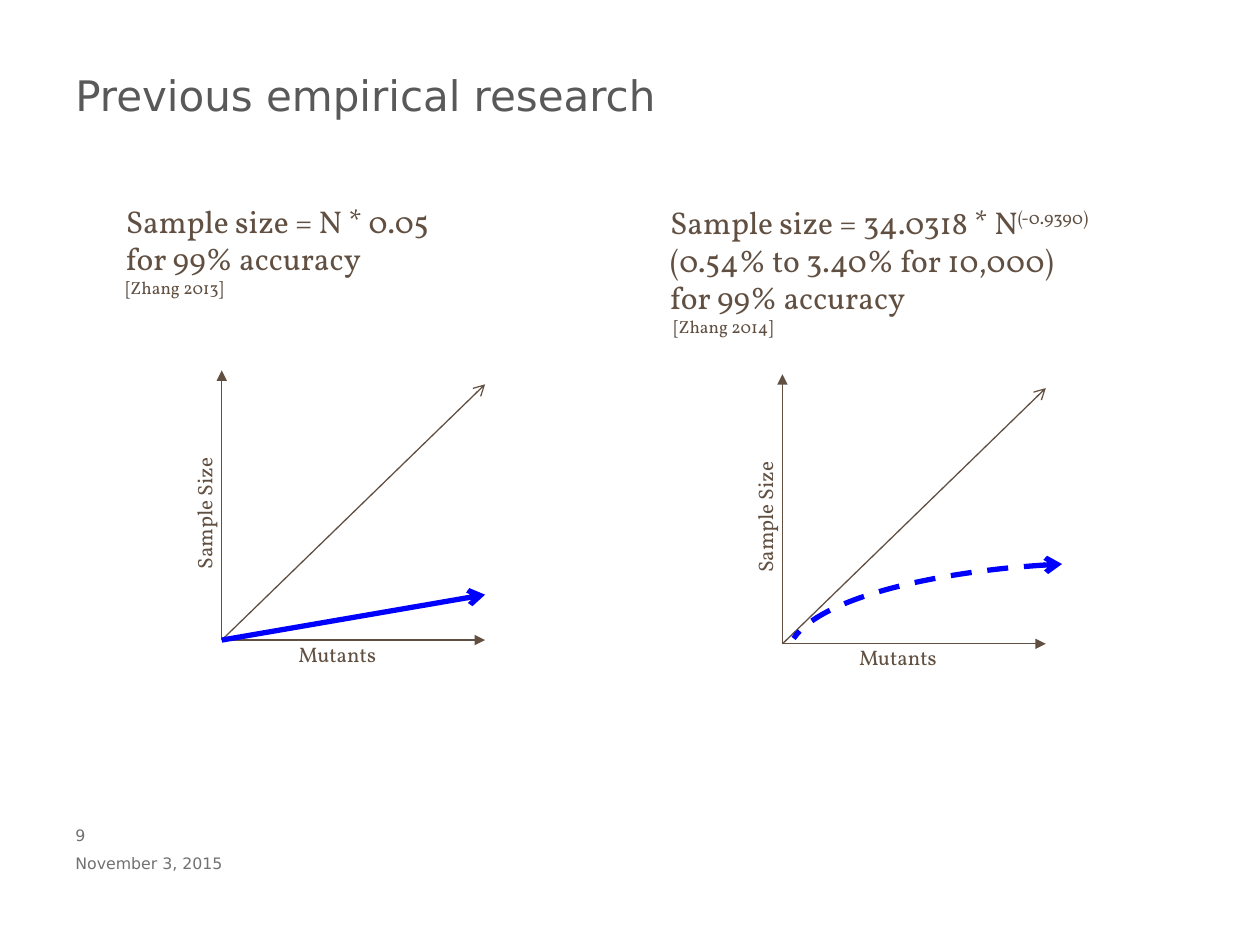
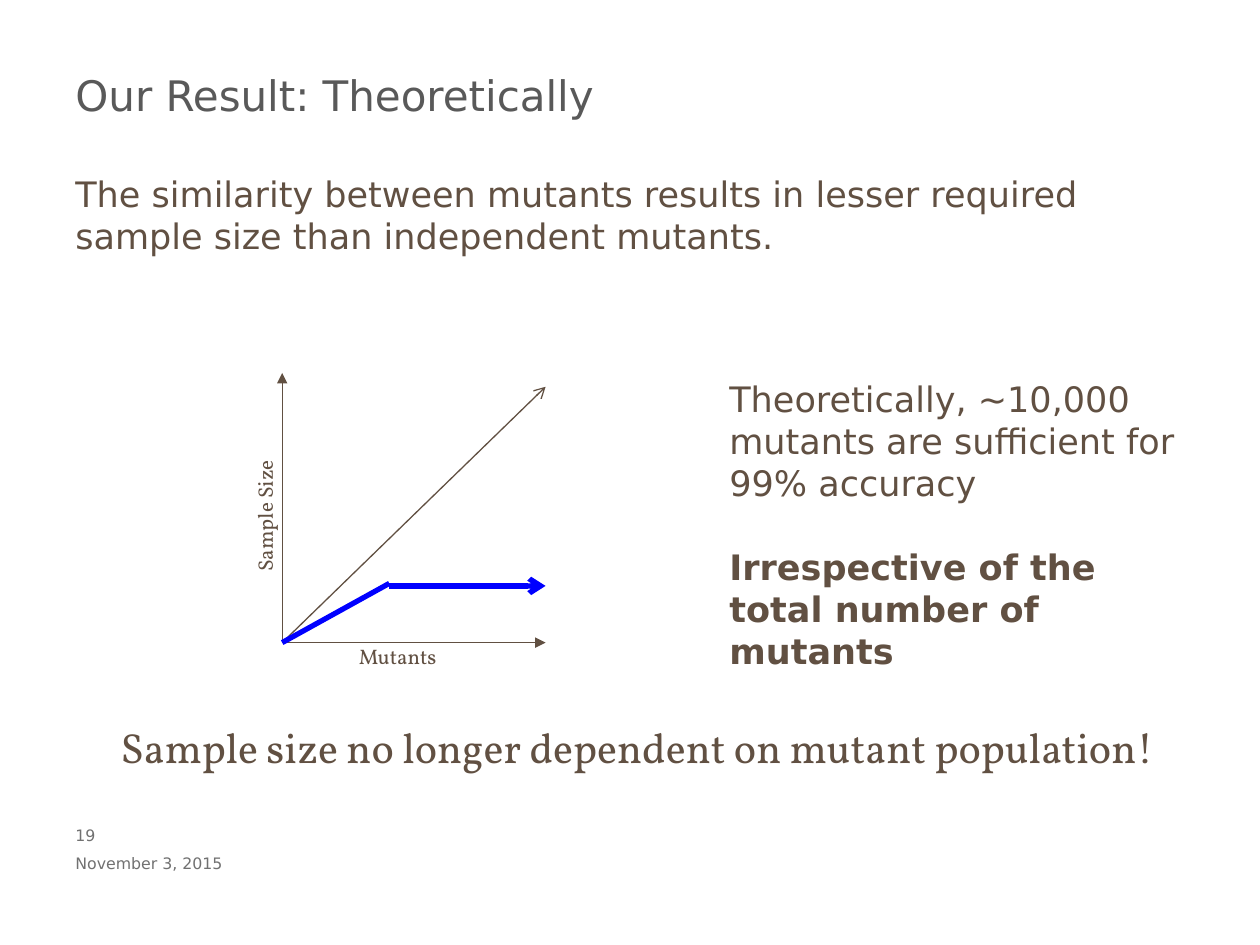
from lxml import etree
from pptx import Presentation
from pptx import util as u
from pptx.dml.color import RGBColor
from pptx.enum import dml, shapes, text
from pptx.oxml.ns import qn

COLS, ROWS = 100, 75
SANS, SERIF = "DejaVu Sans", "Vollkorn"
INK, TITLE, FOOTER, RESULT = "615042", "595959", "717171", "0000FF"
DATE = "November 3, 2015"


def rgb(hex_color):
    return RGBColor.from_string(hex_color)


class Deck:
    """Holds the shared style and the slide being drawn; lengths are grid columns and rows."""

    def __init__(self):
        self.prs = Presentation()
        self.prs.slide_width, self.prs.slide_height = u.Inches(10), u.Inches(7.5)
        self.s = None

    def x(self, cols):
        return round(self.prs.slide_width * cols / COLS)

    def y(self, rows):
        return round(self.prs.slide_height * rows / ROWS)

    def box(self, left, top, width, height):
        return self.x(left), self.y(top), self.x(width), self.y(height)

    def new_slide(self, title, number):
        self.s = self.prs.slides.add_slide(self.prs.slide_layouts[6])
        self.text((5, 5, 90, 7.5), [title], 24, SANS, TITLE)
        date = self.text((5, 67.5, 20, 2), [DATE], 9, SANS, FOOTER)
        page = self.text((5, 65.5, 4, 2), [str(number)], 9, SANS, FOOTER)
        for tf in (date, page):
            tf.margin_top = tf.margin_bottom = 0
        date.vertical_anchor = text.MSO_ANCHOR.MIDDLE
        page.margin_right = 0

    def text(self, area, lines, size, font=SERIF, color=INK, rotation=0):
        sp = self.s.shapes.add_textbox(*self.box(*area))
        sp.rotation = rotation
        tf = sp.text_frame
        tf.word_wrap = True
        for i, line in enumerate(lines):
            p = tf.add_paragraph() if i else tf.paragraphs[0]
            p.add_run().text = line
            p.font.size, p.font.name = u.Pt(size), font
            p.font.color.rgb = rgb(color)
        return tf

    def formula(self, area, lines, source, power=None, indent=0):
        """Formula lines with an optional exponent on the first and a small source below."""
        tf = self.text(area, lines + [source], 18)
        cite = tf.paragraphs[-1]
        cite.font.size = u.Pt(10)
        cite._p.get_or_add_pPr().set("marL", str(self.x(indent)))
        if power:
            r = tf.paragraphs[0].add_run()
            r.text = power
            r._r.get_or_add_rPr().set("baseline", "30000")

    def stroke(self, line, color, weight, dash=None, **ends):
        line.color.rgb, line.width = rgb(color), u.Pt(weight)
        if dash:
            line.dash_style = dash
        for end, kind in ends.items():
            if kind:
                etree.SubElement(line._get_or_add_ln(), qn(f"a:{end}End"), type=kind)

    def line(self, start, end, color=INK, weight=0.75, tail=None):
        cx = self.s.shapes.add_connector(
            shapes.MSO_CONNECTOR.STRAIGHT,
            self.x(start[0]), self.y(start[1]), self.x(end[0]), self.y(end[1]))
        self.stroke(cx.line, color, weight, tail=tail)
        etree.SubElement(cx._element.spPr, qn("a:effectLst"))

    def plot(self, x, y, *result):
        """Axes from the origin (x, y), the diagonal, and result lines given from the origin."""
        self.line((x, y), (x, y - 21.4), tail="triangle")
        self.line((x, y), (x + 20.9, y), tail="triangle")
        self.text((x + 5.1, y - 0.4, 15.8, 3), ["Mutants"], 12)
        self.line((x, y), (x + 20.9, y - 20.3), tail="arrow")
        self.text((x - 9.3, y - 14.05, 15.8, 3), ["Sample Size"], 12, rotation=270)
        for (x1, y1), (x2, y2), tail in result:
            self.line((x + x1, y - y1), (x + x2, y - y2), RESULT, 3, tail)

    def curve(self, area, start, end):
        """Dashed result arc, turned to lie flat."""
        sp = self.s.shapes.add_shape(shapes.MSO_SHAPE.ARC, *self.box(*area))
        sp.adjustments[0], sp.adjustments[1] = start, end
        sp.rotation = 270
        sp._element.spPr.find(qn("a:xfrm")).set("flipV", "1")
        sp.shadow.inherit = False
        sp.fill.background()
        self.stroke(sp.line, RESULT, 3, dml.MSO_LINE.DASH, head="arrow")


def previous_research(d):
    d.new_slide("Previous empirical research", 9)
    d.formula((9, 15.5, 39.4, 8.8), ["Sample size = N * 0.05", "for 99% accuracy"],
              "[Zhang 2013]")
    d.plot(17.6, 50.8, ((0, 0), (20.9, 3.6), "arrow"))
    d.formula((52.2, 15.6, 45.2, 11.8),
              ["Sample size = 34.0318 * N", "(0.54% to 3.40% for 10,000)", "for 99% accuracy"],
              "[Zhang 2014]", power="(-0.9390)", indent=0.3)
    d.plot(62.1, 51.1)
    d.curve((81.7, 25.5, 14.7, 53), 20.04, 52.26)


def theoretical_result(d):
    d.new_slide("Our Result: Theoretically", 19)
    d.text((5, 13.2, 90, 7.7), ["The similarity between mutants results in lesser required "
                                "sample size than independent mutants."], 20, SANS)
    d.plot(22.4, 51, ((0, 0), (8.5, 4.7), None), ((8.5, 4.5), (20.9, 4.5), "arrow"))
    tf = d.text((56.9, 29.5, 38.1, 24.6),
                ["Theoretically, ~10,000 mutants are sufficient for 99% accuracy",
                 "Irrespective of the total number of mutants"], 20, SANS)
    conclusion = tf.paragraphs[1]
    conclusion.space_before = u.Pt(24)
    conclusion.font.bold = True
    d.text((8.6, 56.8, 86.4, 5), ["Sample size no longer dependent on mutant population!"], 24)


def main():
    d = Deck()
    previous_research(d)
    theoretical_result(d)
    d.prs.save("out.pptx")


if __name__ == "__main__":
    main()
